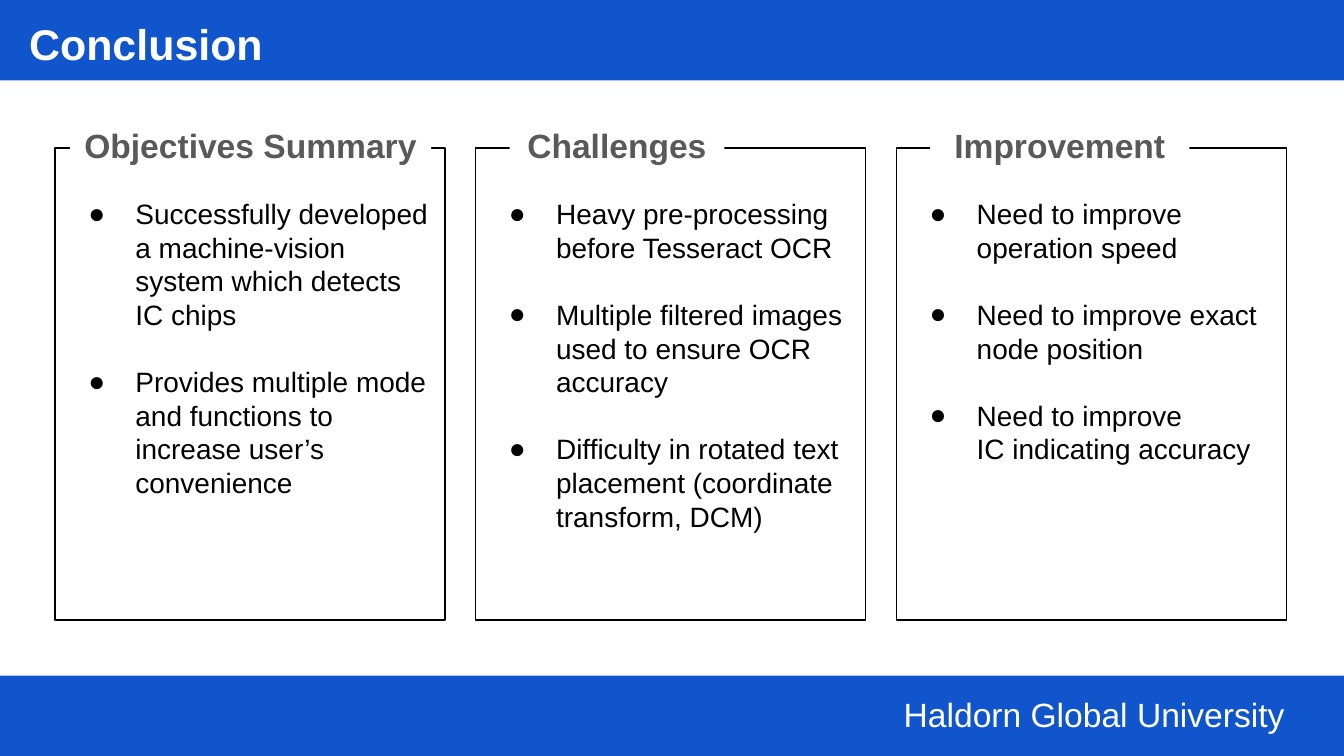
from pptx import Presentation
from pptx.dml.color import RGBColor
from pptx.enum.shapes import MSO_SHAPE
from pptx.enum.text import MSO_ANCHOR, PP_ALIGN
from pptx.oxml import parse_xml
from pptx.oxml.ns import nsdecls
from pptx.util import Cm, Pt

RECTANGLE = MSO_SHAPE.RECTANGLE
TOP = MSO_ANCHOR.TOP
LEFT, CENTER, RIGHT = PP_ALIGN.LEFT, PP_ALIGN.CENTER, PP_ALIGN.RIGHT

BLUE = RGBColor(0x11, 0x55, 0xCC)
WHITE = RGBColor(0xFF, 0xFF, 0xFF)
BLACK = RGBColor(0, 0, 0)
GREY = RGBColor(0x59, 0x59, 0x59)

PAGE_WIDTH, PAGE_HEIGHT = 25.4, 14.29
BAR_HEIGHT = 1.52
INSET = 0.25
LABEL_HEIGHT = 1.17

TITLE_FONT = {"name": "Arial", "size": Pt(23), "bold": True}
FOOTER_FONT = {"name": "Arial", "size": Pt(18)}
HEADING_FONT = {"name": "Arial", "size": Pt(18), "bold": True}
BODY_FONT = {"name": "Arial", "size": Pt(15)}

# Heading, heading offset and width in cm, bullet points
PANELS = [
    ("Objectives Summary", 0.28, 6.83, [
        "Successfully developed a machine-vision system which detects IC chips",
        "Provides multiple mode and functions to increase user’s convenience",
    ]),
    ("Challenges", 0.64, 4.06, [
        "Heavy pre-processing before Tesseract OCR",
        "Multiple filtered images used to ensure OCR accuracy",
        "Difficulty in rotated text placement (coordinate transform, DCM)",
    ]),
    ("Improvement", 0.64, 4.9, [
        "Need to improve operation speed",
        "Need to improve exact node position",
        "Need to improve\vIC indicating accuracy",
    ]),
]


def add_rectangle(shapes, box, fill, line=None):
    rectangle = shapes.add_shape(RECTANGLE, *map(Cm, box))
    rectangle.shadow.inherit = False
    rectangle.fill.solid()
    rectangle.fill.fore_color.rgb = fill
    if line is None:
        rectangle.line.fill.background()
    else:
        rectangle.line.color.rgb = line
        rectangle.line.width = Pt(0.75)
    return rectangle


def write_text(shape, lines, font, color, align=LEFT, top_inset=INSET):
    frame = shape.text_frame
    layout = {
        "word_wrap": True, "vertical_anchor": TOP,
        "margin_left": Cm(INSET), "margin_right": Cm(INSET),
        "margin_top": Cm(top_inset), "margin_bottom": Cm(INSET),
    }
    for name, value in layout.items():
        setattr(frame, name, value)
    frame.text = "\n".join(lines)
    for para in frame.paragraphs:
        para.alignment = align
        for span in para.runs:
            for name, value in font.items():
                setattr(span.font, name, value)
            span.font.color.rgb = color


def add_bullet(para):
    """Give the paragraph a black dot with a hanging indent."""
    properties = para._p.get_or_add_pPr()
    properties.set("marL", str(Cm(1.27)))
    properties.set("indent", str(-Cm(0.89)))
    space = nsdecls("a")
    properties.append(parse_xml(
        f'<a:buClr {space}><a:srgbClr val="{BLACK}"/></a:buClr>'))
    properties.append(parse_xml(f'<a:buFont {space} typeface="Arial"/>'))
    properties.append(parse_xml(f'<a:buChar {space} char="●"/>'))


def add_header(page, box, title):
    left, top, width, height = box
    add_rectangle(page.shapes, box, BLUE)
    label = page.shapes.add_textbox(
        Cm(left + 0.3), Cm(top + 0.08), Cm(9.88), Cm(1.37))
    write_text(label, [title], TITLE_FONT, WHITE)


def add_footer(page, box, name):
    left, top, width, height = box
    add_rectangle(page.shapes, box, BLUE)
    label_width = 8.86
    label_left = left + width - 0.87 - label_width
    label = add_rectangle(
        page.shapes, (label_left, top + 0.1, label_width, LABEL_HEIGHT), BLUE)
    write_text(label, [name], FOOTER_FONT, WHITE, RIGHT)


def add_panel(page, box, heading, offset, heading_width, points):
    """Draw a framed list whose heading interrupts the top edge."""
    left, top, width, height = box
    group = page.shapes.add_group_shape()
    frame = add_rectangle(group.shapes, box, WHITE, BLACK)
    write_text(frame, points, BODY_FONT, BLACK, top_inset=0.92)
    paragraphs = frame.text_frame.paragraphs
    for para in paragraphs:
        add_bullet(para)
    for para in paragraphs[:-1]:
        para.space_after = Pt(18)
    label = add_rectangle(
        group.shapes,
        (left + offset, top - 0.69, heading_width, LABEL_HEIGHT), WHITE)
    write_text(label, [heading], HEADING_FONT, GREY, CENTER)


def main():
    deck = Presentation()
    deck.slide_width, deck.slide_height = Cm(PAGE_WIDTH), Cm(PAGE_HEIGHT)
    page = deck.slides.add_slide(deck.slide_layouts[6])
    add_footer(page, (0, PAGE_HEIGHT - BAR_HEIGHT, PAGE_WIDTH, BAR_HEIGHT),
               "Haldorn Global University")
    add_header(page, (0, 0, PAGE_WIDTH, BAR_HEIGHT), "Conclusion")
    for column, panel in enumerate(PANELS):
        add_panel(page, (1.04 + 7.95 * column, 2.8, 7.37, 8.92), *panel)
    deck.save("out.pptx")


if __name__ == "__main__":
    main()
